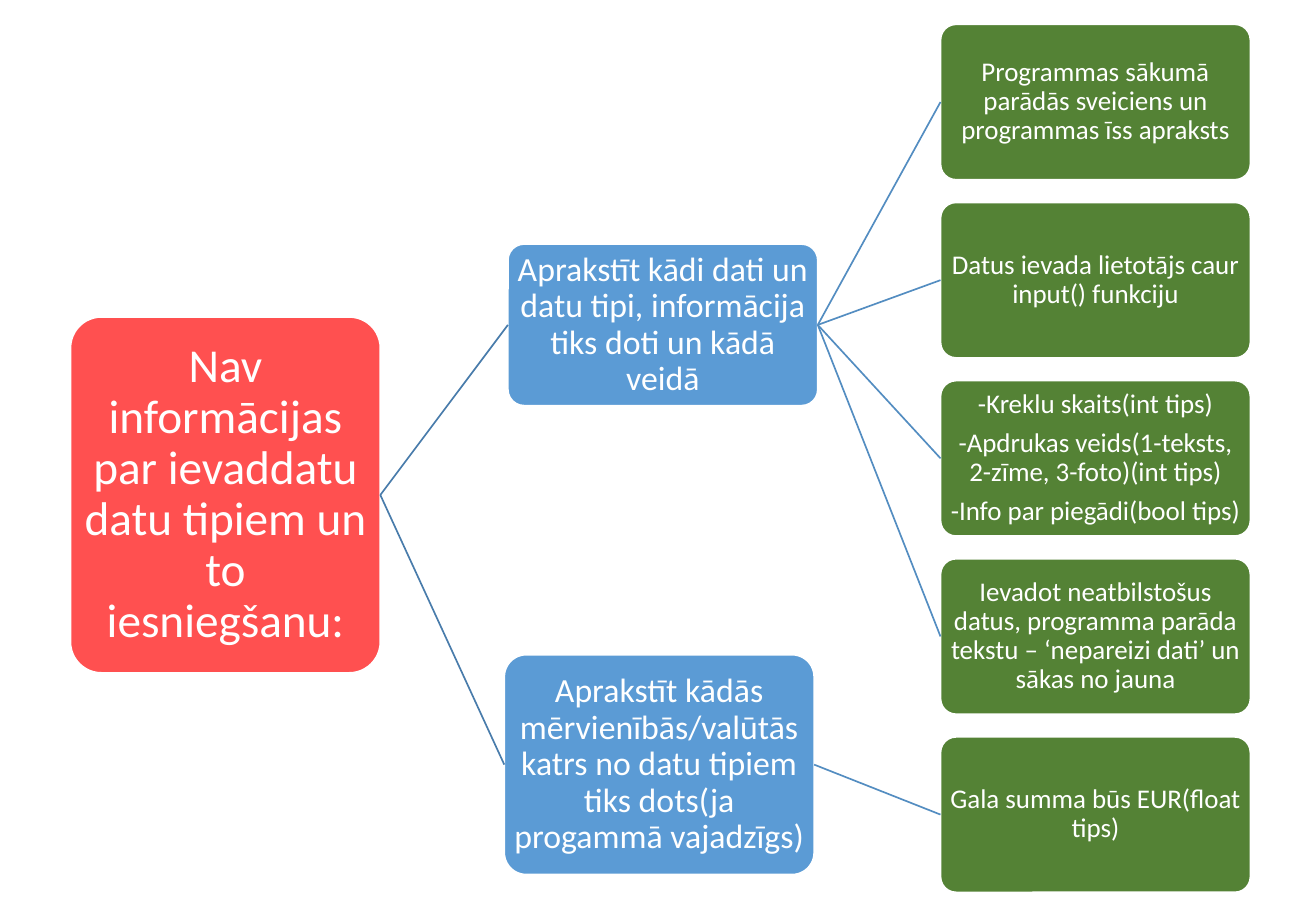
from pptx import Presentation
from pptx.dml.color import RGBColor
from pptx.enum.shapes import MSO_CONNECTOR, MSO_SHAPE
from pptx.enum.text import MSO_ANCHOR, PP_ALIGN
from pptx.oxml.ns import qn
from pptx.util import Inches, Pt
from lxml import etree

ROUND = MSO_SHAPE.ROUNDED_RECTANGLE
LINE = MSO_CONNECTOR.STRAIGHT
MIDDLE = MSO_ANCHOR.MIDDLE
CENTER = PP_ALIGN.CENTER
RIGHT, LEFT = 3, 1
WIDE = 765
COLORS = {
    "root": "FF5050", "branch": "5B9BD5", "leaf": "548235",
    "stem": "497CAB", "twig": "538DC1", "white": "FFFFFF",
}
ROOT = "Nav informācijas par ievaddatu datu tipiem un to iesniegšanu:"
DATA = "Aprakstīt kādi dati un datu tipi, informācija tiks doti un kādā veidā"
UNITS = ("Aprakstīt kādās mērvienībās/valūtās katrs no datu tipiem "
         "tiks dots(ja progammā vajadzīgs)")
LEAVES = [
    ["Programmas sākumā parādās sveiciens un programmas īss apraksts"],
    ["Datus ievada lietotājs caur input() funkciju"],
    ["-Kreklu skaits(int tips)",
     "-Apdrukas veids(1-teksts, 2-zīme, 3-foto)(int tips)",
     "-Info par piegādi(bool tips)"],
    ["Ievadot neatbilstošus datus, programma parāda tekstu – "
     "‘nepareizi dati’ un sākas no jauna"],
    ["Gala summa būs EUR(float tips)"],
]


def px(num):
    """Turn px into EMU at 300 px to the inch."""
    return Inches(num / 300)


def paint(name):
    """Return the named colour."""
    return RGBColor.from_string(COLORS[name])


def write(frame, lines, size=16, color="white", inset=3):
    """Write centred paragraphs into a text frame."""
    frame.word_wrap = True
    frame.vertical_anchor = MIDDLE
    frame.margin_left = frame.margin_right = px(inset)
    frame.margin_top = frame.margin_bottom = px(inset)
    for i, line in enumerate(lines):
        para = frame.add_paragraph() if i else frame.paragraphs[0]
        para.alignment = CENTER
        para.line_spacing = 0.9
        para.space_after = Pt(size * 0.35)
        run = para.add_run()
        run.text = line
        run.font.name = "Calibri"
        run.font.size = Pt(size)
        run.font.color.rgb = paint(color)


def node(slide, box, lines, fill, **style):
    """Add one rounded node with its text."""
    shape = slide.shapes.add_shape(ROUND, *map(px, box))
    shape.adjustments[0] = 0.1
    shape.shadow.inherit = False
    shape.fill.solid()
    shape.fill.fore_color.rgb = paint(fill)
    shape.line.color.rgb = paint("white")
    shape.line.width = Pt(1)
    write(shape.text_frame, lines, **style)
    return shape


def join(slide, start, end, color):
    """Link the right side of one node to the left side of the next."""
    link = slide.shapes.add_connector(LINE, 0, 0, 0, 0)
    link.begin_connect(start, RIGHT)
    link.end_connect(end, LEFT)
    link.line.color.rgb = paint(color)
    link.line.width = Pt(1)
    etree.SubElement(link._element.spPr, qn("a:effectLst"))


def stack(slide, box, items, gap):
    """Fill a box with equal leaf nodes, top to bottom."""
    left, top, wide, high = box
    step = (high + gap) // len(items)
    return [node(slide, (left, top + i * step, wide, step - gap), item, "leaf")
            for i, item in enumerate(items)]


def tree(slide, box):
    """Draw the tree of root, branches and leaves in a box."""
    left, top, wide, high = box
    root = node(slide, (left, top + 723, WIDE, 879), [ROOT], "root",
                size=28, inset=6)
    data = node(slide, (left + 1080, top + 543, WIDE, 399), [DATA], "branch",
                size=20)
    units = node(slide, (left + 1071, top + 1557, WIDE, 543), [UNITS], "branch",
                 size=20)
    leaves = stack(slide, (left + wide - WIDE, top, WIDE, high), LEAVES, 56)
    for branch in (data, units):
        join(slide, root, branch, "stem")
    for leaf in leaves[:-1]:
        join(slide, data, leaf, "twig")
    join(slide, units, leaves[-1], "twig")


def main():
    """Build and save the slide."""
    deck = Presentation()
    deck.slide_width, deck.slide_height = px(3249), px(2250)
    slide = deck.slides.add_slide(deck.slide_layouts[6])
    tree(slide, (174, 60, 2913, 2144))
    deck.save("out.pptx")


if __name__ == "__main__":
    main()
